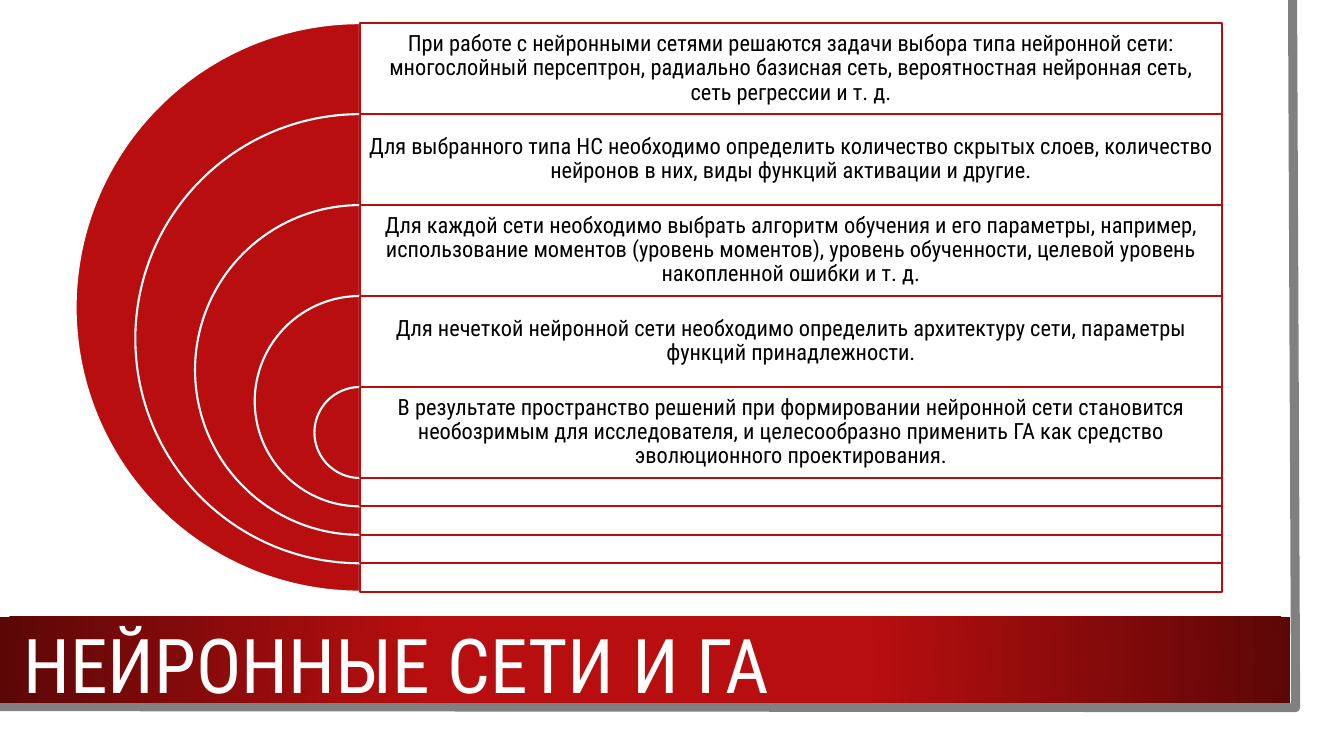
from dataclasses import dataclass

from lxml.etree import SubElement
from pptx import Presentation
from pptx.dml.color import RGBColor
from pptx.enum.shapes import MSO_SHAPE
from pptx.enum.text import MSO_ANCHOR, PP_ALIGN
from pptx.oxml.ns import qn
from pptx.util import Inches, Pt


@dataclass(frozen=True)
class Theme:
    font: str = "Roboto Condensed"
    red: RGBColor = RGBColor(0xB8, 0x0E, 0x0F)
    dark_red: RGBColor = RGBColor(0x5C, 0x07, 0x07)
    white: RGBColor = RGBColor(0xFF, 0xFF, 0xFF)
    black: RGBColor = RGBColor(0x00, 0x00, 0x00)
    gray: RGBColor = RGBColor(0x80, 0x80, 0x80)
    title_size: Pt = Pt(54)
    body_size: Pt = Pt(16)
    outline: Pt = Pt(1.5)
    frame_line: Pt = Pt(6.5)


THEME = Theme()
TITLE = "НЕЙРОННЫЕ СЕТИ И ГА"
STEPS = [
    "При работе с нейронными сетями решаются задачи выбора типа нейронной сети: "
    "многослойный персептрон, радиально базисная сеть, вероятностная нейронная сеть, "
    "сеть регрессии и т. д.",
    "Для выбранного типа НС необходимо определить количество скрытых слоев, "
    "количество нейронов в них, виды функций активации и другие.",
    "Для каждой сети необходимо выбрать алгоритм обучения и его параметры, например, "
    "использование моментов (уровень моментов), уровень обученности, целевой уровень "
    "накопленной ошибки и т. д.",
    "Для нечеткой нейронной сети необходимо определить архитектуру сети, параметры "
    "функций принадлежности.",
    "В результате пространство решений при формировании нейронной сети становится "
    "необозримым для исследователя, и целесообразно применить ГА как средство "
    "эволюционного проектирования.",
]


def add_filled_shape(slide, preset, box, fill, line=None):
    """Add a preset shape at box (left, top, width, height in inches)."""
    shape = slide.shapes.add_shape(preset, *map(Inches, box))
    shape.shadow.inherit = False
    shape.fill.solid()
    shape.fill.fore_color.rgb = fill
    if line is None:
        shape.line.fill.background()
    else:
        shape.line.color.rgb = line
        shape.line.width = THEME.outline
    return shape


def format_text(text_frame, text, size, color, alignment):
    text_frame.text = text
    text_frame.word_wrap = True
    text_frame.vertical_anchor = MSO_ANCHOR.MIDDLE
    paragraph = text_frame.paragraphs[0]
    paragraph.alignment = alignment
    paragraph.line_spacing = 0.9
    font = paragraph.runs[0].font
    font.name = THEME.font
    font.size = size
    font.color.rgb = color


def apply_radial_gradient(shape):
    """Fill the shape red in the middle, darkening towards its edges."""
    shape.fill.gradient()
    stops = zip(shape.fill.gradient_stops, (0.34, 1), (THEME.red, THEME.dark_red))
    for stop, position, color in stops:
        stop.position = position
        stop.color.rgb = color
    gradient = shape.fill._xPr.find(qn("a:gradFill"))
    gradient.remove(gradient.find(qn("a:lin")))
    circle = SubElement(gradient, qn("a:path"), path="circle")
    SubElement(circle, qn("a:fillToRect"), l="50000", t="50000", r="50000", b="50000")


def add_backdrop(slide, box):
    """Draw the paper sheet, its gray edge and the red band of the title."""
    left, top, width, height = box
    add_filled_shape(slide, MSO_SHAPE.RECTANGLE, box, THEME.white)

    edge_x, edge_y = left + width - 0.25, top + height - 0.25
    builder = slide.shapes.build_freeform(
        Inches(edge_x - 0.03), Inches(top), scale=1.0
    )
    builder.add_line_segments(
        [
            (Inches(edge_x), Inches(edge_y)),
            (Inches(left - 0.03), Inches(edge_y - 0.01)),
        ],
        close=False,
    )
    edge = builder.convert_to_shape()
    edge.shadow.inherit = False
    edge.fill.background()
    edge.line.color.rgb = THEME.gray
    edge.line.width = THEME.frame_line

    band_box = (left, top + height - 1.15, width - 0.3, 0.85)
    band = add_filled_shape(slide, MSO_SHAPE.RECTANGLE, band_box, THEME.red)
    apply_radial_gradient(band)


def add_title(slide, box):
    title = slide.shapes.title
    title.left, title.top, title.width, title.height = map(Inches, box)
    format_text(
        title.text_frame, TITLE, THEME.title_size, THEME.white, PP_ALIGN.LEFT
    )
    slide.shapes._spTree.append(title._element)  # bring in front of the band


def add_nested_targets(slide, box, steps):
    """Draw half circles nested one in another, each with a text row on its right."""
    left, top, width, height = box
    row_height = 0.16 * height
    shrink = (height - row_height) / (len(steps) - 1)
    axis = left + height / 2
    panel_width = left + width - axis
    for index, step in enumerate(steps):
        diameter = height - index * shrink
        row_top = top + index * row_height

        half_circle = add_filled_shape(
            slide,
            MSO_SHAPE.PIE,
            (axis - diameter / 2, row_top, diameter, diameter),
            THEME.red,
            THEME.white,
        )
        half_circle.adjustments[0] = 54  # 90 degrees
        half_circle.adjustments[1] = 162  # 270 degrees

        panel_box = (axis, row_top, panel_width, diameter)
        panel = add_filled_shape(
            slide, MSO_SHAPE.RECTANGLE, panel_box, THEME.white, THEME.red
        )
        panel_color = panel.fill._xPr.find(qn("a:solidFill"))[0]
        SubElement(panel_color, qn("a:alpha"), val="90000")

        label_box = (axis, row_top, panel_width, row_height)
        text_frame = slide.shapes.add_textbox(*map(Inches, label_box)).text_frame
        text_frame.margin_left = text_frame.margin_right = Inches(0.07)
        text_frame.margin_top = text_frame.margin_bottom = Inches(0.07)
        format_text(
            text_frame, step, THEME.body_size, THEME.black, PP_ALIGN.CENTER
        )


def main():
    presentation = Presentation()
    presentation.slide_width = Inches(13.33)
    presentation.slide_height = Inches(7.5)
    slide = presentation.slides.add_slide(presentation.slide_layouts[5])
    add_backdrop(slide, (0, 0, 13.1, 7.27))
    add_title(slide, (0.13, 6.01, 11.37, 1.26))
    add_nested_targets(slide, (0.75, 0.23, 11.37, 5.64), STEPS)
    presentation.save("out.pptx")


if __name__ == "__main__":
    main()
